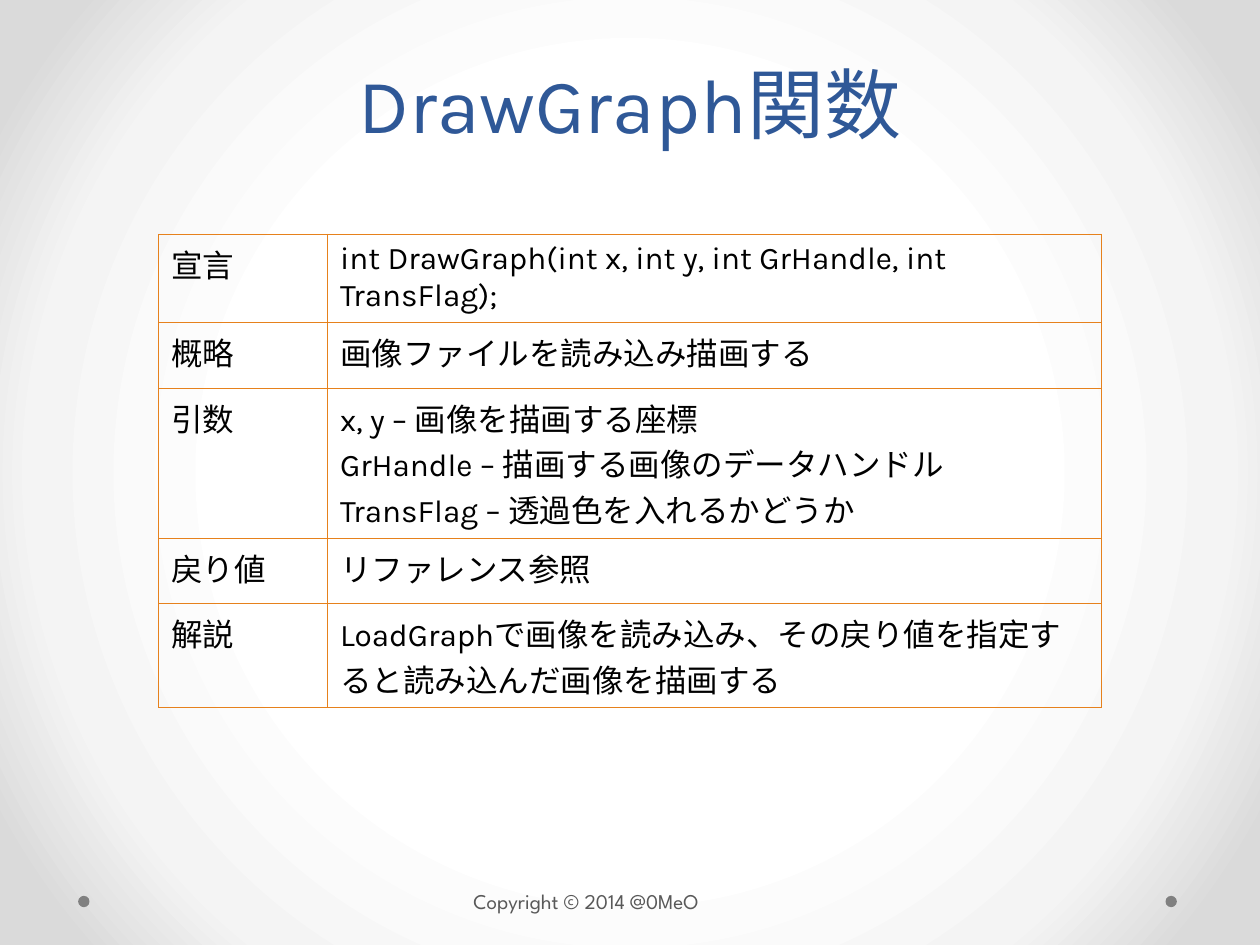
from lxml import etree
from pptx import Presentation
from pptx.dml.color import RGBColor
from pptx.enum.shapes import MSO_SHAPE
from pptx.enum.text import MSO_ANCHOR, MSO_AUTO_SIZE, PP_ALIGN
from pptx.oxml import parse_xml
from pptx.oxml.ns import nsdecls, qn
from pptx.util import Inches, Pt

W, H = Inches(10), Inches(7.5)
BLUE, ORANGE, BLACK = "2F5897", "E6811C", "000000"
DOT, FOOT = "808080", "595959"
STOPS = [(50, "FFFFFF"), (76, "F4F4F4"), (92, "DADADA")]
ROWS = [
    (0.68, "宣言", ["int DrawGraph(int x, int y, int GrHandle, int TransFlag);"]),
    (0.52, "概略", ["画像ファイルを読み込み描画する"]),
    (1.19, "引数", ["x, y – 画像を描画する座標",
                  "GrHandle – 描画する画像のデータハンドル",
                  "TransFlag – 透過色を入れるかどうか"]),
    (0.52, "戻り値", ["リファレンス参照"]),
    (0.82, "解説", ["LoadGraphで画像を読み込み、その戻り値を指定すると読み込んだ画像を描画する"]),
]


def rgb(color):
    return RGBColor.from_string(color)


def share(x, y, w, h):
    return int(W * x), int(H * y), int(W * w), int(H * h)


def style(tf, size, font, color):
    for p in tf.paragraphs:
        for r in p.runs:
            r.font.size = Pt(size)
            r.font.name = font
            r.font.color.rgb = rgb(color)


def add_background(s):
    stops = "".join(
        f'<a:gs pos="{pos * 1000}"><a:srgbClr val="{color}"/></a:gs>'
        for pos, color in STOPS)
    s._element.cSld.insert(0, parse_xml(
        f'<p:bg {nsdecls("p", "a")}><p:bgPr><a:gradFill rotWithShape="1">'
        f'<a:gsLst>{stops}</a:gsLst><a:path path="circle">'
        '<a:fillToRect l="50000" t="50000" r="50000" b="50000"/></a:path>'
        '</a:gradFill><a:effectLst/></p:bgPr></p:bg>'))


def add_title(s, box, text):
    sp = s.shapes.title
    sp.left, sp.top, sp.width, sp.height = box
    tf = sp.text_frame
    tf.text = text
    tf.auto_size = MSO_AUTO_SIZE.NONE
    tf.vertical_anchor = MSO_ANCHOR.BOTTOM
    p = tf.paragraphs[0]
    p.alignment = PP_ALIGN.CENTER
    p.line_spacing = Pt(58)
    style(tf, 44, "Karla", BLUE)


def add_borders(cell, color):
    tcPr = cell._tc.get_or_add_tcPr()
    for i, side in enumerate(("lnL", "lnR", "lnT", "lnB")):
        ln = etree.Element(qn(f"a:{side}"), w=str(Pt(0.75)))
        fill = etree.SubElement(ln, qn("a:solidFill"))
        etree.SubElement(fill, qn("a:srgbClr"), val=color)
        tcPr.insert(i, ln)


def add_reference_table(s, box, rows, label_share):
    table = s.shapes.add_table(len(rows), 2, *box).table
    table.first_row = table.horz_banding = False
    width, height = box[2:]
    table.columns[0].width = int(width * label_share)
    table.columns[1].width = width - table.columns[0].width
    total = sum(weight for weight, _, _ in rows)
    for i, (weight, label, lines) in enumerate(rows):
        table.rows[i].height = int(height * weight / total)
        for j, text in enumerate((label, "\n".join(lines))):
            cell = table.cell(i, j)
            cell.text_frame.text = text
            cell.fill.background()
            add_borders(cell, ORANGE)
            style(cell.text_frame, 18, "Karla", BLACK)


def add_footer(s, box, text):
    x, y, w, h = box
    d = Inches(0.09)
    for left in (x, x + w - d):
        dot = s.shapes.add_shape(MSO_SHAPE.OVAL, left, y + (h - d) // 2, d, d)
        dot.shadow.inherit = False
        dot.fill.solid()
        dot.fill.fore_color.rgb = rgb(DOT)
        dot.line.fill.background()
    tf = s.shapes.add_textbox(int(W * 0.366), y, int(W * 0.23), h).text_frame
    tf.word_wrap = False
    tf.auto_size = MSO_AUTO_SIZE.SHAPE_TO_FIT_TEXT
    tf.text = text
    style(tf, 12, "League Spartan", FOOT)


def main():
    prs = Presentation()
    prs.slide_width, prs.slide_height = W, H
    s = prs.slides.add_slide(prs.slide_layouts[5])
    add_background(s)
    add_footer(s, share(0.062, 0.934, 0.872, 0.04), "Copyright © 2014 @0MeO")
    add_title(s, share(0.05, 0.032, 0.9, 0.132), "DrawGraph関数")
    add_reference_table(s, share(0.126, 0.248, 0.748, 0.498), ROWS, 0.179)
    prs.save("out.pptx")


if __name__ == "__main__":
    main()
